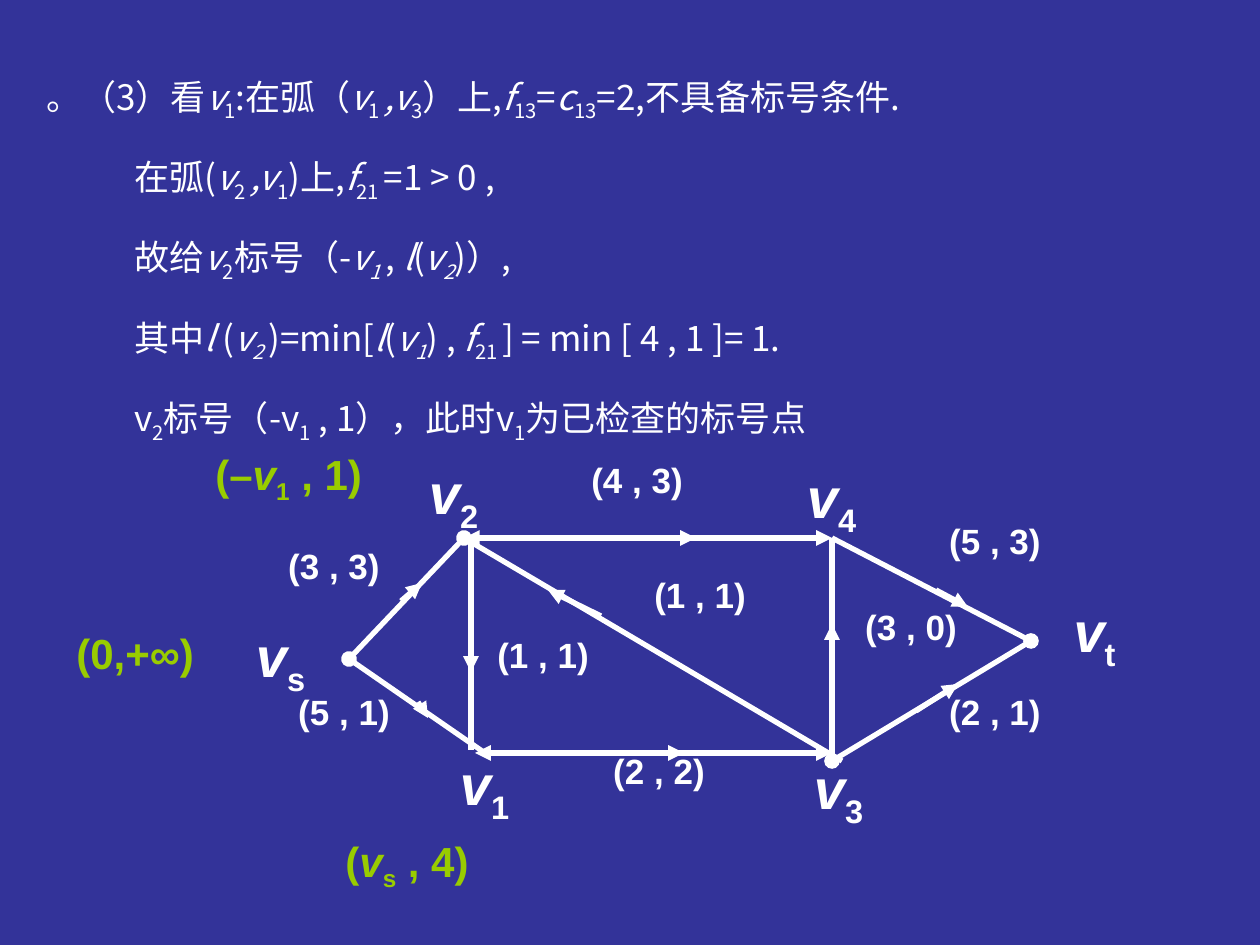
from itertools import groupby

from pptx import Presentation
from pptx.dml.color import RGBColor
from pptx.enum.shapes import MSO_CONNECTOR
from pptx.enum.text import MSO_AUTO_SIZE, PP_ALIGN
from pptx.oxml.ns import qn
from pptx.util import Emu, Pt
from lxml import etree

WHITE = RGBColor(0xFF, 0xFF, 0xFF)
GREEN = RGBColor(0x99, 0xCC, 0x00)
BLUE = RGBColor(0x33, 0x33, 0x99)
CJK, LATIN = "Noto Sans CJK SC", "Arial"

# In all texts / switches italic and ~ switches subscript.
STEPS = [
    "。（3）看/v/~1~:在弧（/v/~1 ~/,v/~3~）上,/f/~13~=/c/~13~=2,不具备标号条件.",
    "在弧(/v/~2 ~/,v/~1~)上,/f/~21 ~=1 > 0 ,",
    "故给/v/~2~标号（-/v~1 ~/, /l/(/v~2~/)）,",
    "其中/l /(/v~2 ~/)=min[/l/(/v~1~/) , /f/~21 ~] = min [ 4 , 1 ]= 1.",
    "v~2~标号（-v~1~ , 1），此时v~1~为已检查的标号点",
]
STEP_INDENT = 88

# Graph points and the ends of each edge, in px
VS, V2, V4, V3, VT = (349, 659), (464, 538), (832, 538), (832, 761), (1031, 641)
EDGES = [  # from, to, mark at both ends
    (VS, V2, "oval"),
    (VS, (485, 753), None),
    (V2, V4, "triangle"),
    ((475, 753), (832, 753), "triangle"),
    (V4, V3, None),
    (V4, VT, None),
    (VT, V3, "oval"),
    ((471, 542), (471, 750), None),
    (V2, (842, 761), None),
]
FLOW_ARROWS = [
    ((401, 601), (422, 583)),
    ((418, 702), (428, 718)),
    ((633, 538), (696, 538)),
    ((611, 753), (684, 753)),
    ((601, 616), (548, 590)),
    ((832, 667), (832, 624)),
    ((936, 590), (968, 607)),
    ((916, 711), (958, 684)),
    ((471, 611), (471, 672)),
]
NODES = [  # text, left, top
    ("/v/~s~", 228, 615), ("/v/~1~", 432, 743), ("/v/~2~", 401, 452),
    ("/v/~3~", 786, 747), ("/v/~4~", 779, 456), ("/v/~t~", 1042, 590),
]
CAPACITIES = [
    ("(3 , 3)", 255, 538), ("(5 , 1)", 265, 684), ("(4 , 3)", 558, 452),
    ("(1 , 1)", 621, 567), ("(1 , 1)", 464, 627), ("(2 , 2)", 580, 743),
    ("(3 , 0)", 832, 599), ("(5 , 3)", 916, 513), ("(2 , 1)", 916, 684),
]
VERTEX_LABELS = [
    ("(–/v/~1~ , 1)", 203, 442), ("(/v/~s~ , 4)", 333, 829), ("(0,+∞)", 64, 621),
]


def px(n):
    return Emu(round(n * 914400 / 126))


def styled_chars(text):
    italic = sub = False
    for ch in text:
        if ch == "/":
            italic = not italic
        elif ch == "~":
            sub = not sub
        else:
            yield ch, italic, sub


def add_text(s, lines, left, top, width, height, size, color=WHITE, font=LATIN,
             bold=True, align=PP_ALIGN.CENTER, spacing=None, before=0, indent=0):
    """Add a text box; indent applies to every line but the first."""
    tf = s.shapes.add_textbox(px(left), px(top), px(width), px(height)).text_frame
    tf.word_wrap = True
    tf.auto_size = MSO_AUTO_SIZE.SHAPE_TO_FIT_TEXT
    for i, line in enumerate(lines):
        p = tf.add_paragraph() if i else tf.paragraphs[0]
        p.alignment = align
        if spacing:
            p.line_spacing = spacing
        if i:
            p.space_before = Pt(before)
            p._p.get_or_add_pPr().set("marL", str(px(indent)))
        for (italic, sub), chars in groupby(styled_chars(line), key=lambda c: c[1:]):
            r = p.add_run()
            r.text = "".join(c[0] for c in chars)
            r.font.size, r.font.bold, r.font.italic = Pt(size), bold, italic
            r.font.color.rgb = color
            r.font.name = font
            rPr = r._r.get_or_add_rPr()
            etree.SubElement(rPr, qn("a:ea")).set("typeface", font)
            if sub:
                rPr.set("baseline", "-25000")


def add_line(s, start, end, head=None, tail=None):
    line = s.shapes.add_connector(MSO_CONNECTOR.STRAIGHT, *map(px, start + end))
    line.line.color.rgb = WHITE
    line.line.width = Pt(3)
    ln = line.line._get_or_add_ln()
    for tag, mark in (("a:headEnd", head), ("a:tailEnd", tail)):
        if mark:
            etree.SubElement(ln, qn(tag)).set("type", mark)
    etree.SubElement(line._element.spPr, qn("a:effectLst"))


def main():
    prs = Presentation()
    prs.slide_width, prs.slide_height = px(1260), px(945)
    s = prs.slides.add_slide(prs.slide_layouts[6])
    s.background.fill.solid()
    s.background.fill.fore_color.rgb = BLUE

    add_text(s, STEPS, 34, 45, 1197, 406, 20, font=CJK, bold=False,
             align=PP_ALIGN.JUSTIFY, spacing=1.5, before=5, indent=STEP_INDENT)
    for start, end, mark in EDGES:
        add_line(s, start, end, mark, mark)
    for start, end in FLOW_ARROWS:
        add_line(s, start, end, tail="triangle")
    for text, left, top in NODES:
        add_text(s, [text], left, top, 105, 89, 32)
    for text, left, top in CAPACITIES:
        add_text(s, [text], left, top, 158, 55, 20)
    for text, left, top in VERTEX_LABELS:
        add_text(s, [text], left, top, 221, 71, 24, GREEN, align=PP_ALIGN.LEFT)

    prs.save("out.pptx")


if __name__ == "__main__":
    main()
